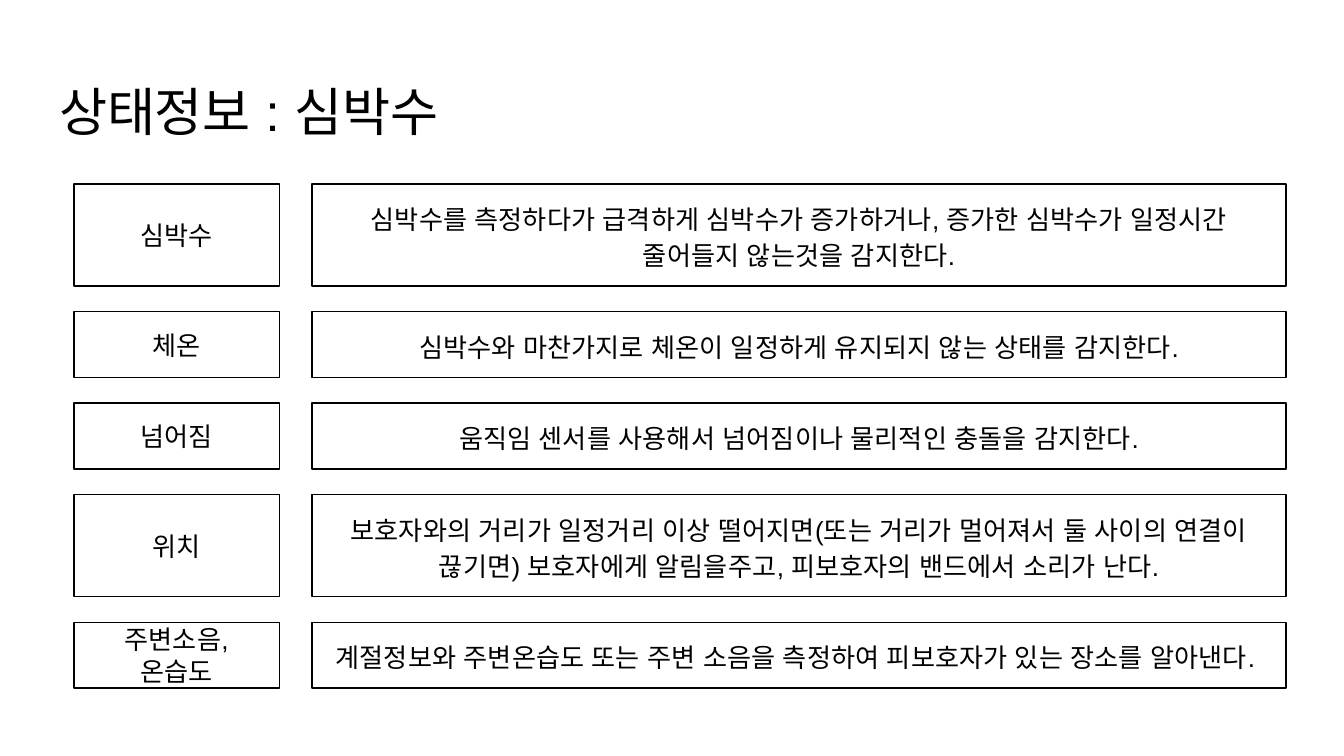
from dataclasses import dataclass

from lxml.etree import SubElement
from pptx import Presentation
from pptx.dml.color import RGBColor
from pptx.enum.lang import MSO_LANGUAGE_ID
from pptx.enum.shapes import MSO_SHAPE
from pptx.enum.text import MSO_ANCHOR, MSO_AUTO_SIZE, PP_ALIGN
from pptx.oxml.ns import qn
from pptx.util import Inches, Pt

FONT = "Arial"
BLACK = "000000"
INSET = 0.1
TOP = 1.37
GAP = 0.19
SINGLE = 0.49
DOUBLE = 0.76


@dataclass(frozen=True)
class Column:
    left: float
    width: float


@dataclass(frozen=True)
class StatusRow:
    label: str
    description: str
    height: float


LABELS = Column(0.55, 1.53)
DESCRIPTIONS = Column(2.32, 7.25)

ROWS = [
    StatusRow("심박수", "심박수를 측정하다가 급격하게 심박수가 증가하거나, 증가한 심박수가 일정시간 줄어들지 않는것을 감지한다.", DOUBLE),
    StatusRow("체온", "심박수와 마찬가지로 체온이 일정하게 유지되지 않는 상태를 감지한다.", SINGLE),
    StatusRow("넘어짐", "움직임 센서를 사용해서 넘어짐이나 물리적인 충돌을 감지한다.", SINGLE),
    StatusRow("위치", "보호자와의 거리가 일정거리 이상 떨어지면(또는 거리가 멀어져서 둘 사이의 연결이 끊기면) 보호자에게 알림을주고, 피보호자의 밴드에서 소리가 난다.", DOUBLE),
    StatusRow("주변소음, 온습도", "계절정보와 주변온습도 또는 주변 소음을 측정하여 피보호자가 있는 장소를 알아낸다. ", SINGLE),
]


def color(value: str) -> RGBColor:
    return RGBColor.from_string(value)


def write_text(shape, text: str, *, size: float, align=PP_ALIGN.CENTER, anchor=MSO_ANCHOR.MIDDLE,
               line_spacing: float = 1.0, space_after: float = 0) -> None:
    frame = shape.text_frame
    frame.word_wrap = True
    frame.auto_size = MSO_AUTO_SIZE.NONE
    frame.vertical_anchor = anchor
    frame.margin_left = frame.margin_right = Inches(INSET)
    frame.margin_top = frame.margin_bottom = Inches(INSET)
    paragraph = frame.paragraphs[0]
    paragraph.alignment = align
    paragraph.line_spacing = line_spacing
    paragraph.space_before = Pt(0)
    paragraph.space_after = Pt(space_after)
    run = paragraph.add_run()
    run.text = text
    run.font.size = Pt(size)
    run.font.color.rgb = color(BLACK)
    run.font.name = FONT
    run.font.language_id = MSO_LANGUAGE_ID.KOREAN
    SubElement(run.font._element, qn("a:ea"), typeface=FONT)


def add_box(slide, column: Column, top: float, height: float, text: str, **text_format) -> None:
    box = slide.shapes.add_shape(MSO_SHAPE.RECTANGLE, Inches(column.left), Inches(top),
                                 Inches(column.width), Inches(height))
    box.shadow.inherit = False
    box.fill.background()
    box.line.color.rgb = color(BLACK)
    box.line.width = Pt(0.75)
    write_text(box, text, size=14, **text_format)


def add_title(slide, text: str) -> None:
    title = slide.shapes.title
    title.left, title.top = Inches(0.34), Inches(0.49)
    title.width, title.height = Inches(9.32), Inches(0.63)
    write_text(title, text, size=28, align=PP_ALIGN.LEFT, anchor=MSO_ANCHOR.TOP)


def add_rows(slide, rows: list[StatusRow]) -> None:
    top = TOP
    for row in rows:
        add_box(slide, LABELS, top, row.height, row.label)
        add_box(slide, DESCRIPTIONS, top, row.height, row.description,
                line_spacing=1.15, space_after=16)
        top += row.height + GAP


presentation = Presentation()
presentation.slide_width = Inches(10)
presentation.slide_height = presentation.slide_width * 9 // 16
slide = presentation.slides.add_slide(presentation.slide_layouts[5])
add_title(slide, "상태정보 : 심박수")
add_rows(slide, ROWS)
presentation.save("out.pptx")
